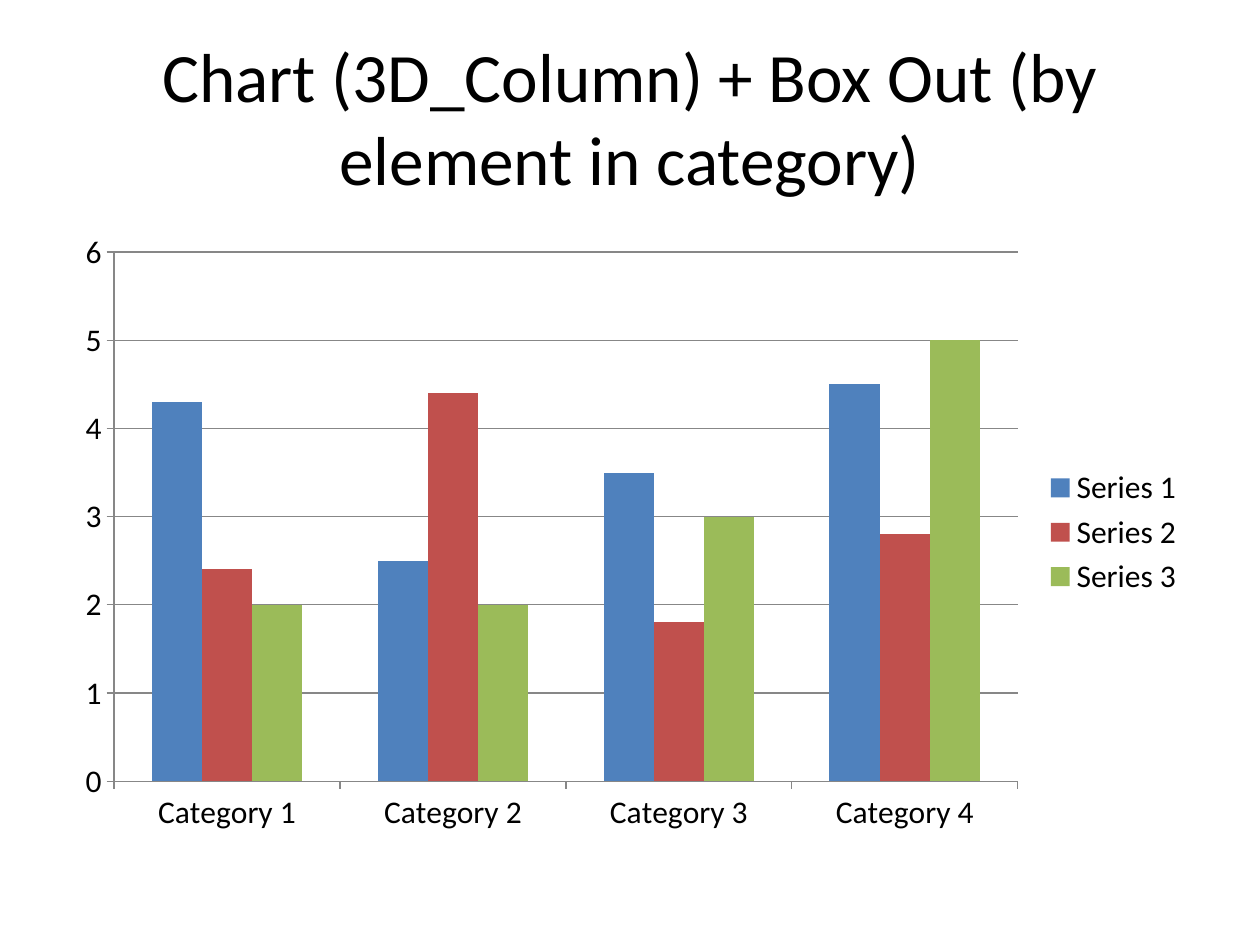
from pptx import Presentation
from pptx.chart.data import CategoryChartData
from pptx.dml.color import RGBColor
from pptx.enum.chart import XL_CHART_TYPE, XL_LEGEND_POSITION, XL_TICK_MARK
from pptx.enum.text import MSO_ANCHOR, PP_ALIGN
from pptx.util import Inches, Pt

COLUMN = XL_CHART_TYPE.COLUMN_CLUSTERED
RIGHT = XL_LEGEND_POSITION.RIGHT
OUTSIDE = XL_TICK_MARK.OUTSIDE
MIDDLE = MSO_ANCHOR.MIDDLE
CENTER = PP_ALIGN.CENTER

BLACK = RGBColor(0x00, 0x00, 0x00)
GREY = RGBColor(0x87, 0x87, 0x87)
BLUE = RGBColor(0x4F, 0x81, 0xBD)
RED = RGBColor(0xC0, 0x50, 0x4D)
GREEN = RGBColor(0x9B, 0xBB, 0x59)
FONT = "Calibri"

TITLE = "Chart (3D_Column) + Box Out (by element in category)"
GROUPS = [f"Category {n}" for n in range(1, 5)]
SERIES = [
    ("Series 1", (4.3, 2.5, 3.5, 4.5), BLUE),
    ("Series 2", (2.4, 4.4, 1.8, 2.8), RED),
    ("Series 3", (2, 2, 3, 5), GREEN),
]


def style(font, size, color=BLACK):
    """Set the typeface, size and colour of a font."""
    font.name = FONT
    font.size = Pt(size)
    font.color.rgb = color


def add_text(slide, box, text, size=18, align=CENTER, anchor=MIDDLE):
    """Place wrapped text in a box."""
    frame = slide.shapes.add_textbox(*box).text_frame
    frame.word_wrap = True
    frame.vertical_anchor = anchor
    line = frame.paragraphs[0]
    line.alignment = align
    run = line.add_run()
    run.text = text
    style(run.font, size)


def add_columns(slide, box):
    """Place the clustered column chart in a box."""
    data = CategoryChartData()
    data.categories = GROUPS
    for name, values, _ in SERIES:
        data.add_series(name, values)
    chart = slide.shapes.add_chart(COLUMN, *box, data).chart
    style(chart.font, 18)
    chart.has_title = False
    chart.has_legend = True
    chart.legend.position = RIGHT
    chart.legend.include_in_layout = False

    plot = chart.plots[0]
    plot.vary_by_categories = False
    plot.gap_width = 150
    plot.overlap = 0
    for bars, (_, _, color) in zip(plot.series, SERIES):
        bars.format.fill.solid()
        bars.format.fill.fore_color.rgb = color

    for axis in (chart.category_axis, chart.value_axis):
        axis.major_tick_mark = OUTSIDE
        axis.format.line.color.rgb = GREY
    scale = chart.value_axis
    scale.minimum_scale, scale.maximum_scale, scale.major_unit = 0, 6, 1
    scale.has_major_gridlines = True
    scale.major_gridlines.format.line.color.rgb = GREY


def main():
    """Build and save the slide."""
    deck = Presentation()
    deck.slide_width, deck.slide_height = Inches(10), Inches(7.5)
    slide = deck.slides.add_slide(deck.slide_layouts[6])
    left, width = Inches(0.5), Inches(9)
    add_text(slide, (left, Inches(0.3), width, Inches(1.25)), TITLE, size=39.6)
    add_columns(slide, (left, Inches(1.75), width, Inches(4.95)))
    deck.save("out.pptx")


if __name__ == "__main__":
    main()
